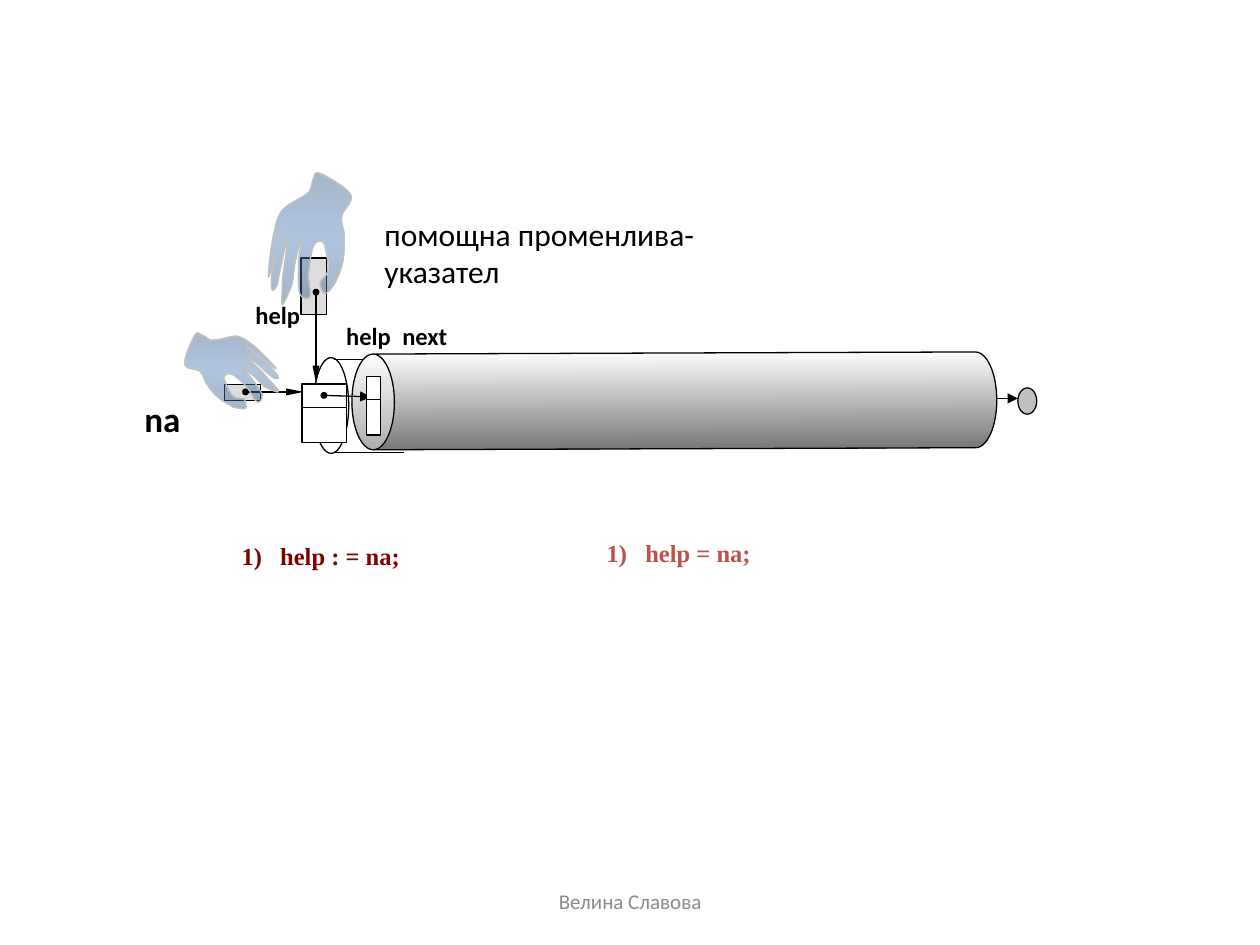
from itertools import chain

from lxml import etree
from pptx import Presentation
from pptx.dml.color import RGBColor
from pptx.enum.shapes import MSO_CONNECTOR as Connector, MSO_SHAPE as Shape
from pptx.enum.text import MSO_ANCHOR as Anchor, PP_ALIGN as Align
from pptx.oxml import parse_xml
from pptx.oxml.ns import nsdecls, qn
from pptx.util import Cm, Pt

COLORS = {
    "ink": "000000", "white": "FFFFFF", "pointer": "DDDDDD", "nil": "C0C0C0",
    "shade": "767676", "glove": "4F81BD", "glove_edge": "395C87",
    "pascal": "800000", "c_code": "C0504D", "footer": "8C8C8C",
}
QUEUE_GRADIENT = ["white", "shade"]
GLOVE_GRADIENT = ["glove_edge", "glove", "glove_edge"]

HAND_UNIT = Cm(2.54) / 100
HAND = {
    "back": [(0, 0), (-18, 12), (-25, 32)],
    "little finger": [(-29, 64), (-26, 56), (-22, 38), (-19, 28)],
    "ring finger": [(-26, 61), (-26, 75), (-22, 71), (-20, 61), (-17, 47), (-13, 32)],
    "middle finger": [(-16, 53), (-18, 73), (-18, 87), (-11, 73), (-8, 55), (-3, 36)],
    "index finger": [(-5, 53), (-4, 78), (4, 80), (3, 60), (7, 40), (14, 37)],
    "thumb": [(17, 46), (18, 61), (12, 70), (16, 78), (24, 69), (30, 52)],
    "wrist": [(31, 33), (29, 17), (36, 0), (12, -17), (7, -14), (4, -4)],
}
HAND_OUTLINE = list(chain.from_iterable(HAND.values()))


def smooth_curve(knots):
    count = len(knots)
    for index in range(count):
        before, start, end, after = (knots[(index + step) % count] for step in (-1, 0, 1, 2))
        yield tuple(s + (e - b) / 6 for b, s, e in zip(before, start, end))
        yield tuple(e - (a - s) / 6 for s, e, a in zip(start, end, after))
        yield end


class Diagram:
    def __init__(self, slide, font="Calibri", line_width=0.75):
        self.slide = slide
        self.font = font
        self.line_width = Pt(line_width)

    def color(self, name):
        return RGBColor.from_string(COLORS[name])

    def outline(self, line, color="ink"):
        line.color.rgb = self.color(color)
        line.width = self.line_width

    def gradient(self, shape, names, angle, opacity=100):
        step = 100000 // (len(names) - 1)
        stops = "".join(
            f'<a:gs pos="{index * step}"><a:srgbClr val="{COLORS[name]}">'
            f'<a:alpha val="{opacity * 1000}"/></a:srgbClr></a:gs>'
            for index, name in enumerate(names))
        shape.fill.background()
        properties = shape._element.spPr
        properties.replace(properties.find(qn("a:noFill")), parse_xml(
            f'<a:gradFill {nsdecls("a")} rotWithShape="1"><a:gsLst>{stops}</a:gsLst>'
            f'<a:lin ang="{angle * 60000}" scaled="0"/></a:gradFill>'))

    def shape(self, kind, left, top, width, height, fill=None):
        shape = self.slide.shapes.add_shape(kind, Cm(left), Cm(top), Cm(width), Cm(height))
        shape.shadow.inherit = False
        self.outline(shape.line)
        if fill:
            shape.fill.solid()
            shape.fill.fore_color.rgb = self.color(fill)
        else:
            shape.fill.background()
        return shape

    def line(self, start, end):
        points = [Cm(value) for value in (*start, *end)]
        connector = self.slide.shapes.add_connector(Connector.STRAIGHT, *points)
        self.outline(connector.line)
        etree.SubElement(connector._element.spPr, qn("a:effectLst"))
        return connector

    def arrow(self, start, end, dot=True, slim=False):
        stroke = self.line(start, end).line._get_or_add_ln()
        if dot:
            etree.SubElement(stroke, qn("a:headEnd"), type="oval", w="sm", len="sm")
        size = {"w": "sm", "len": "lg"} if slim else {}
        etree.SubElement(stroke, qn("a:tailEnd"), type="triangle", **size)

    def node(self, left, top, width, link_height=0.47, data_height=0.71):
        self.shape(Shape.RECTANGLE, left, top + link_height, width, data_height, "white")
        self.shape(Shape.RECTANGLE, left, top, width, link_height, "white")

    def hand(self, origin, x_axis=(1, 0), y_axis=(0, 1)):
        knots = [tuple(o + x * along + y * down for o, along, down in zip(origin, x_axis, y_axis))
                 for x, y in HAND_OUTLINE]
        builder = self.slide.shapes.build_freeform(*knots[0], scale=HAND_UNIT)
        builder.add_line_segments(list(smooth_curve(knots)), close=True)
        shape = builder.convert_to_shape()
        shape.shadow.inherit = False
        segments = list(shape._element.iter(qn("a:lnTo")))
        for curve, *others in zip(segments[::3], segments[1::3], segments[2::3]):
            curve.tag = qn("a:cubicBezTo")
            for segment in others:
                curve.append(segment[0])
                segment.getparent().remove(segment)
        self.gradient(shape, GLOVE_GRADIENT, 90, opacity=45)
        self.outline(shape.line, "nil")

    def text(self, text, left, top, width, height, size, color="ink", bold=False,
             font=None, anchor=Anchor.TOP, align=Align.LEFT, hanging=None):
        box = self.slide.shapes.add_textbox(Cm(left), Cm(top), Cm(width), Cm(height))
        frame = box.text_frame
        frame.word_wrap = True
        frame.vertical_anchor = anchor
        paragraph = frame.paragraphs[0]
        paragraph.text = text
        paragraph.alignment = align
        paragraph.font.name = font or self.font
        paragraph.font.size = Pt(size)
        paragraph.font.bold = bold
        paragraph.font.color.rgb = self.color(color)
        if hanging:
            properties = paragraph._p.get_or_add_pPr()
            properties.set("marL", str(Cm(hanging)))
            properties.set("indent", str(-Cm(hanging)))


presentation = Presentation()
presentation.slide_width, presentation.slide_height = Cm(25.4), Cm(19.05)
diagram = Diagram(presentation.slides.add_slide(presentation.slide_layouts[6]))

diagram.shape(Shape.OVAL, 6.32, 7.21, 0.71, 1.93)
for edge in (7.24, 9.12):
    diagram.line((6.73, edge), (8.14, edge))
queue = diagram.shape(Shape.CAN, 12.63, 1.58, 1.93, 13)
queue.rotation = 269.8
queue.adjustments[0] = 0.444
diagram.gradient(queue, QUEUE_GRADIENT, 180)

diagram.shape(Shape.RECTANGLE, 4.53, 7.75, 0.72, 0.33, "pointer")
diagram.arrow((4.95, 7.9), (6.12, 7.9), slim=True)
diagram.node(6.09, 7.74, 0.9)
diagram.arrow((6.53, 7.97), (7.47, 8))
diagram.shape(Shape.OVAL, 20.52, 7.82, 0.38, 0.53, "nil")
diagram.arrow((20.09, 8.03), (20.52, 8.03), dot=False)

diagram.shape(Shape.RECTANGLE, 6.07, 5.2, 0.51, 1.14, "pointer")
diagram.arrow((6.37, 5.89), (6.37, 7.72), slim=True)
diagram.hand(origin=(242, 155))
diagram.hand(origin=(171, 270), x_axis=(-0.67, 0.53), y_axis=(0.44, 0.58))
diagram.node(7.39, 7.59, 0.28)

for label, left, top, width, size, hanging in [
        ("help", 4.9, 5.92, 1.98, 14, None),
        ("na", 2.66, 7.89, 4.55, 20, None),
        ("help\tnext", 6.73, 6.35, 4.65, 14, 1.13)]:
    diagram.text(label, left, top, width, 1.2, size, bold=True, hanging=hanging)

for code, left, top, color in [("help : = na;", 4.62, 10.17, "pascal"),
                               ("help = na;", 11.98, 10.11, "c_code")]:
    diagram.text(f"1)\t{code}", left, top, 4, 1.45, 14, color, bold=True,
                 font="Times New Roman", anchor=Anchor.BOTTOM, hanging=0.78)

diagram.text("помощна променлива-указател", 7.5, 4.62, 8.94, 0.94, 18, anchor=Anchor.MIDDLE)
diagram.text("Велина Славова", 8.68, 17.65, 8.05, 1.02, 12, "footer",
             anchor=Anchor.MIDDLE, align=Align.CENTER)

presentation.save("out.pptx")
